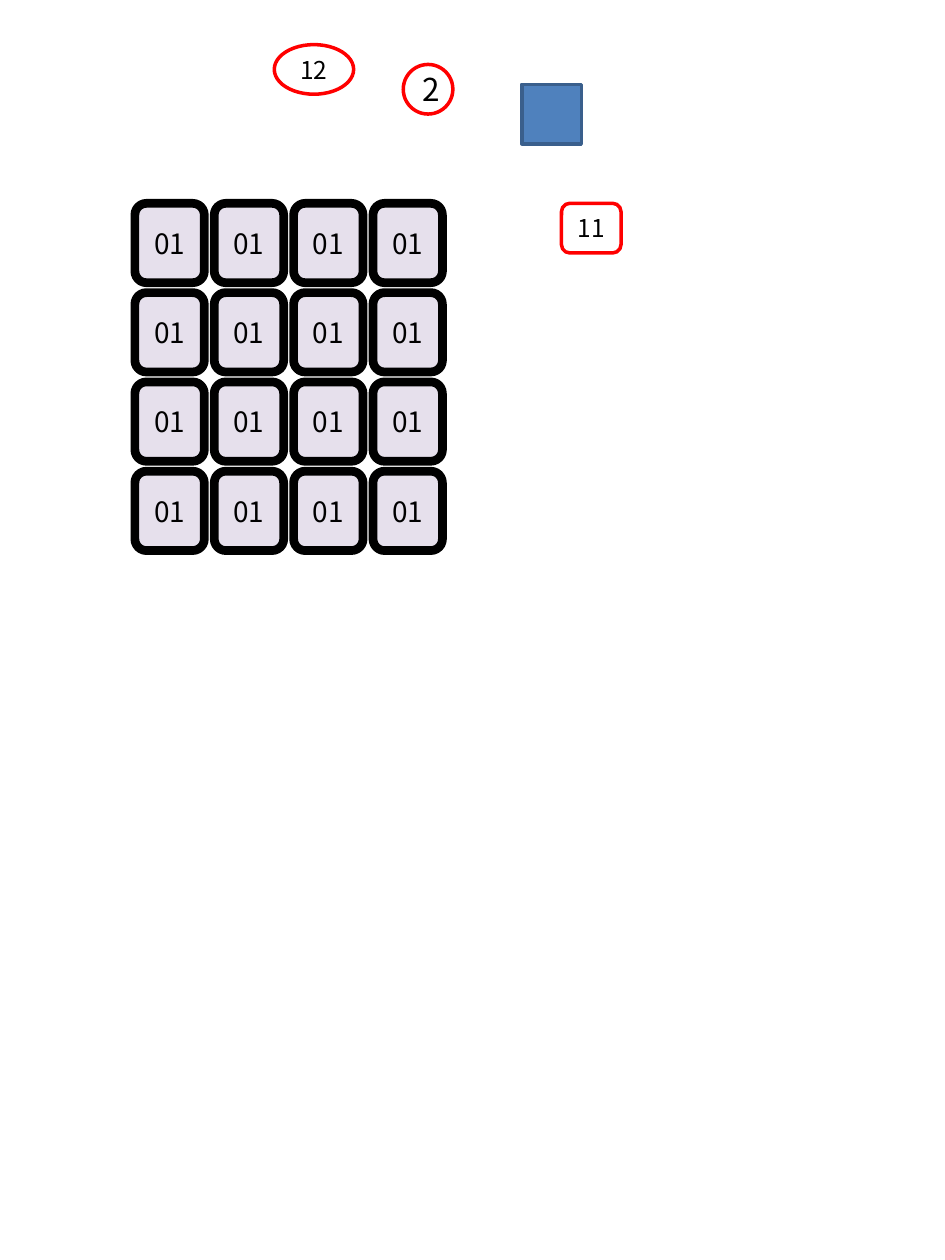
"""Build a slide with a four by four grid of number cards and four loose markers."""
from dataclasses import dataclass
from itertools import product

import pptx
import pptx.dml.color
import pptx.enum.shapes
import pptx.enum.text
import pptx.slide
import pptx.util

Cm = pptx.util.Cm
Kind = pptx.enum.shapes.MSO_SHAPE

COLORS = {
    "black": "000000",
    "white": "FFFFFF",
    "lavender": "E6E0EC",
    "red": "FF0000",
    "blue": "4F81BD",
    "navy": "3A5F8C",
}
FONT = "Noto Sans CJK KR"
GRID_SIZE = 4
GRID_LEFT, GRID_TOP = 2.72, 4.1
COLUMN_STEP, ROW_STEP = 1.6, 1.8


@dataclass(frozen=True)
class Marker:
    kind: Kind
    left: float
    top: float
    width: float
    height: float
    label: str = ""
    font_size: int = 14
    fill: str = "white"
    outline: str = "red"
    outline_width: int = 2


def rgb(name: str) -> pptx.dml.color.RGBColor:
    return pptx.dml.color.RGBColor.from_string(COLORS[name])


def draw_marker(slide: pptx.slide.Slide, marker: Marker) -> None:
    box = (marker.left, marker.top, marker.width, marker.height)
    outline = slide.shapes.add_shape(marker.kind, *map(Cm, box))
    outline.shadow.inherit = False
    outline.fill.solid()
    outline.fill.fore_color.rgb = rgb(marker.fill)
    outline.line.color.rgb = rgb(marker.outline)
    outline.line.width = pptx.util.Pt(marker.outline_width)
    if not marker.label:
        return
    outline.text_frame.vertical_anchor = pptx.enum.text.MSO_ANCHOR.MIDDLE
    label = outline.text_frame.paragraphs[0]
    label.alignment = pptx.enum.text.PP_ALIGN.CENTER
    digits = label.add_run()
    digits.text = marker.label
    text_format = {"name": FONT, "size": pptx.util.Pt(marker.font_size)}
    for attribute, value in text_format.items():
        setattr(digits.font, attribute, value)
    digits.font.color.rgb = rgb("black")


def main() -> None:
    deck = pptx.Presentation()
    deck.slide_width, deck.slide_height = Cm(19.05), Cm(25.4)
    slide = deck.slides.add_slide(deck.slide_layouts[6])
    cards = [
        Marker(
            Kind.ROUNDED_RECTANGLE,
            GRID_LEFT + column * COLUMN_STEP,
            GRID_TOP + row * ROW_STEP,
            1.4,
            1.6,
            "01",
            16,
            "lavender",
            "black",
            5,
        )
        for row, column in product(range(GRID_SIZE), repeat=2)
    ]
    loose_markers = [
        Marker(Kind.OVAL, 5.53, 0.9, 1.6, 1, "12"),
        Marker(Kind.OVAL, 8.13, 1.3, 1, 1, "2", 18),
        Marker(Kind.RECTANGLE, 10.52, 1.7, 1.2, 1.2, fill="blue", outline="navy"),
        Marker(Kind.ROUNDED_RECTANGLE, 11.32, 4.1, 1.2, 1, "11"),
    ]
    for marker in cards + loose_markers:
        draw_marker(slide, marker)
    deck.save("out.pptx")


if __name__ == "__main__":
    main()
